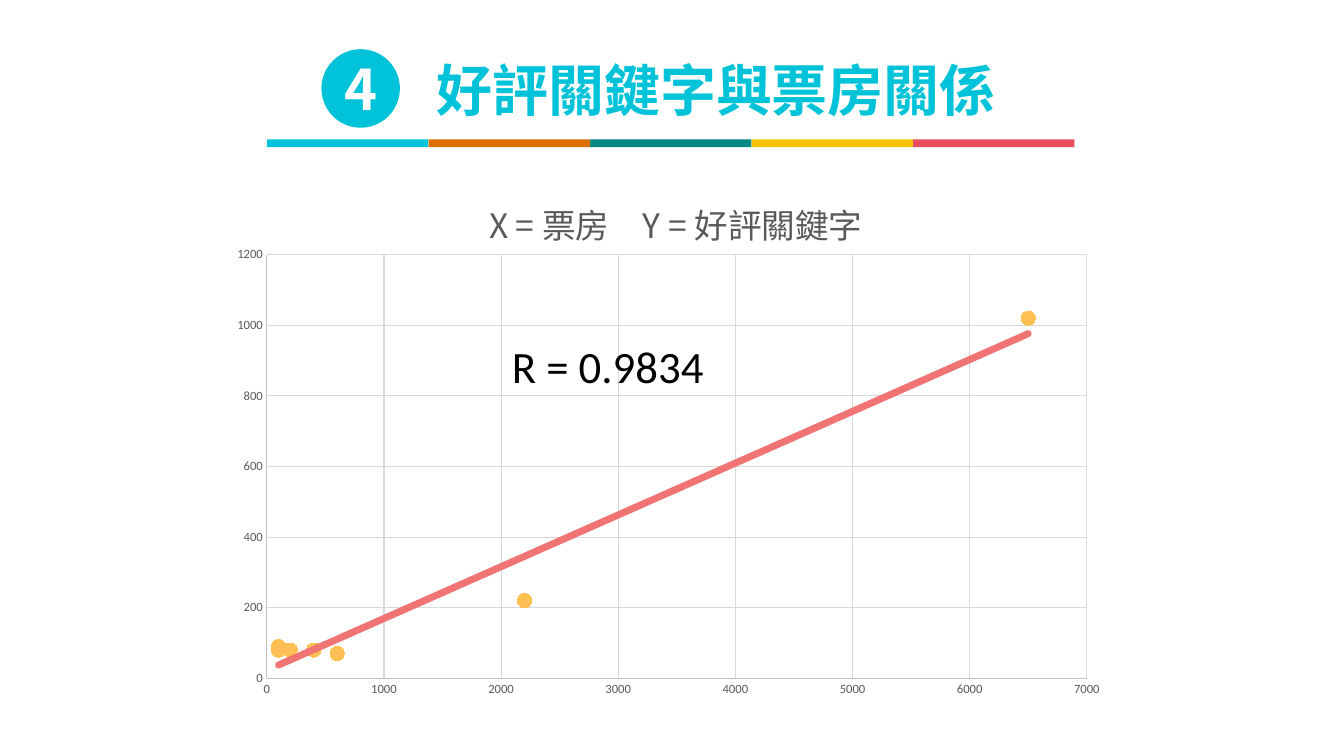
from typing import NamedTuple

from lxml.etree import SubElement
from pptx import Presentation
from pptx.chart.axis import ValueAxis
from pptx.chart.chart import Chart
from pptx.chart.data import XyChartData
from pptx.dml.color import RGBColor
from pptx.enum.chart import XL_CHART_TYPE, XL_MARKER_STYLE, XL_TICK_MARK
from pptx.enum.shapes import MSO_SHAPE
from pptx.enum.text import MSO_ANCHOR, PP_ALIGN
from pptx.oxml import parse_xml
from pptx.oxml.ns import nsdecls, qn
from pptx.shapes.autoshape import Shape
from pptx.shapes.shapetree import GroupShapes, SlideShapes
from pptx.text.text import _Paragraph as Paragraph
from pptx.util import Cm, Length, Pt

CYAN = RGBColor(0x00, 0xC3, 0xD9)
ORANGE = RGBColor(0xDE, 0x6E, 0x00)
TEAL = RGBColor(0x02, 0x89, 0x85)
YELLOW = RGBColor(0xF3, 0xC3, 0x01)
RED = RGBColor(0xE9, 0x4E, 0x60)
WHITE = RGBColor(0xFF, 0xFF, 0xFF)
BLACK = RGBColor(0x00, 0x00, 0x00)
TEXT_GREY = RGBColor(0x59, 0x59, 0x59)
AXIS_GREY = RGBColor(0xBF, 0xBF, 0xBF)
GRID_GREY = RGBColor(0xD9, 0xD9, 0xD9)
AMBER = RGBColor(0xFF, 0xBF, 0x53)
CORAL = RGBColor(0xF1, 0x74, 0x75)

CJK_FONT = "Noto Sans CJK SC"
LATIN_FONT = "Calibri"


class Box(NamedTuple):
    left: Length
    top: Length
    width: Length
    height: Length


class Film(NamedTuple):
    box_office: int
    praise_keywords: int


class TextStyle(NamedTuple):
    size: int
    font: str
    color: RGBColor
    bold: bool = False


HEADING = TextStyle(40, CJK_FONT, CYAN, True)
FILMS = [
    Film(6500, 1020), Film(2200, 220), Film(600, 70), Film(400, 80),
    Film(200, 80), Film(100, 80), Film(100, 90),
]


def style_paragraph(paragraph: Paragraph, style: TextStyle) -> None:
    font = paragraph.font
    font.size = Pt(style.size)
    font.bold = style.bold
    font.color.rgb = style.color
    font.name = style.font
    properties = paragraph._p.get_or_add_pPr().find(qn("a:defRPr"))
    SubElement(properties, qn("a:ea")).set("typeface", style.font)


def add_filled(shapes: GroupShapes, kind: MSO_SHAPE, box: Box, color: RGBColor) -> Shape:
    shape = shapes.add_shape(kind, *box)
    shape.shadow.inherit = False
    shape.fill.solid()
    shape.fill.fore_color.rgb = color
    shape.line.fill.background()
    return shape


def add_label(shapes: GroupShapes | SlideShapes, box: Box, text: str,
              style: TextStyle, align: PP_ALIGN) -> None:
    frame = shapes.add_textbox(*box).text_frame
    frame.word_wrap = True
    paragraph = frame.paragraphs[0]
    paragraph.text = text
    paragraph.alignment = align
    style_paragraph(paragraph, style)


def add_heading(shapes: SlideShapes) -> None:
    heading = shapes.add_group_shape().shapes
    circle = Box(Cm(8.1), Cm(1.24), Cm(1.98), Cm(1.98))
    badge = add_filled(heading, MSO_SHAPE.OVAL, circle, CYAN)
    frame = badge.text_frame
    frame.margin_left = frame.margin_right = 0
    frame.margin_top = frame.margin_bottom = 0
    frame.vertical_anchor = MSO_ANCHOR.MIDDLE
    number = frame.paragraphs[0]
    number.text = "4"
    number.alignment = PP_ALIGN.CENTER
    style_paragraph(number, HEADING._replace(color=WHITE))
    add_label(heading, Box(Cm(10.31), Cm(1.27), Cm(15.47), Cm(1.88)),
              "好評關鍵字與票房關係", HEADING, PP_ALIGN.CENTER)


def add_color_strip(shapes: SlideShapes) -> None:
    strip = shapes.add_group_shape().shapes
    width = Cm(4.07)
    for index, color in enumerate((CYAN, ORANGE, TEAL, YELLOW, RED)):
        box = Box(Cm(6.73) + index * width, Cm(3.51), width, Cm(0.2))
        add_filled(strip, MSO_SHAPE.RECTANGLE, box, color)


def style_axis(axis: ValueAxis, maximum: int, step: int) -> None:
    axis.minimum_scale = 0
    axis.maximum_scale = maximum
    axis.major_unit = step
    axis.major_tick_mark = axis.minor_tick_mark = XL_TICK_MARK.NONE
    axis.has_major_gridlines = True
    for line, color in ((axis.format.line, AXIS_GREY),
                        (axis.major_gridlines.format.line, GRID_GREY)):
        line.color.rgb = color
        line.width = Pt(0.75)
    font = axis.tick_labels.font
    font.size = Pt(9)
    font.name = LATIN_FONT
    font.color.rgb = TEXT_GREY


def layout_xml(target: str, **fractions: float) -> str:
    """Manual chart layout, in fractions of the chart's size."""
    modes = '<c:xMode val="edge"/><c:yMode val="edge"/>'
    values = "".join(f'<c:{key} val="{value}"/>' for key, value in fractions.items())
    return (f'<c:layout {nsdecls("c")}><c:manualLayout>{target}{modes}{values}'
            "</c:manualLayout></c:layout>")


def place_chart_parts(chart: Chart) -> None:
    plot_area = chart._chartSpace.chart.plotArea
    title = chart.chart_title._element
    for parent in (plot_area, title):
        for layout in parent.findall(qn("c:layout")):
            parent.remove(layout)
    plot_area.insert(0, parse_xml(layout_xml(
        '<c:layoutTarget val="inner"/>', x=0.05, y=0.17, w=0.91, h=0.78)))
    title.find(qn("c:tx")).addnext(parse_xml(layout_xml("", x=0.29, y=0.05)))


def add_scatter(shapes: SlideShapes) -> None:
    data = XyChartData()
    points = data.add_series("Series 1")
    for film in FILMS:
        points.add_data_point(film.box_office, film.praise_keywords)
    box = Box(Cm(5.59), Cm(4.09), Cm(22.71), Cm(13.69))
    chart = shapes.add_chart(XL_CHART_TYPE.XY_SCATTER, *box, data).chart
    chart.has_legend = False
    chart.font.size = Pt(10)
    chart.font.name = LATIN_FONT
    chart.font.color.rgb = BLACK
    chart.has_title = True
    title = chart.chart_title.text_frame.paragraphs[0]
    title.text = "X = 票房　Y = 好評關鍵字"
    style_paragraph(title, TextStyle(24, CJK_FONT, TEXT_GREY))
    style_axis(chart.category_axis, 7000, 1000)
    style_axis(chart.value_axis, 1200, 200)
    place_chart_parts(chart)

    plot = chart.plots[0]
    plot.vary_by_categories = False
    series = plot.series[0]
    series.format.line.fill.background()
    series.marker.style = XL_MARKER_STYLE.CIRCLE
    series.marker.size = 10
    series.marker.format.fill.solid()
    series.marker.format.fill.fore_color.rgb = AMBER
    series.marker.format.line.color.rgb = AMBER
    trend = parse_xml(
        f'<c:trendline {nsdecls("c", "a")}><c:spPr><a:ln w="{Pt(5)}" cap="rnd">'
        f'<a:solidFill><a:srgbClr val="{CORAL}"/></a:solidFill></a:ln></c:spPr>'
        '<c:trendlineType val="linear"/><c:dispRSqr val="0"/><c:dispEq val="0"/>'
        "</c:trendline>")
    series._element.find(qn("c:xVal")).addprevious(trend)


def main() -> None:
    presentation = Presentation()
    presentation.slide_width = Cm(33.87)
    presentation.slide_height = Cm(19.05)
    shapes = presentation.slides.add_slide(presentation.slide_layouts[6]).shapes
    add_heading(shapes)
    add_color_strip(shapes)
    add_scatter(shapes)
    add_label(shapes, Box(Cm(12.65), Cm(8.41), Cm(5.6), Cm(1.63)), "R = 0.9834",
              TextStyle(32, LATIN_FONT, BLACK), PP_ALIGN.LEFT)
    presentation.save("out.pptx")


if __name__ == "__main__":
    main()
